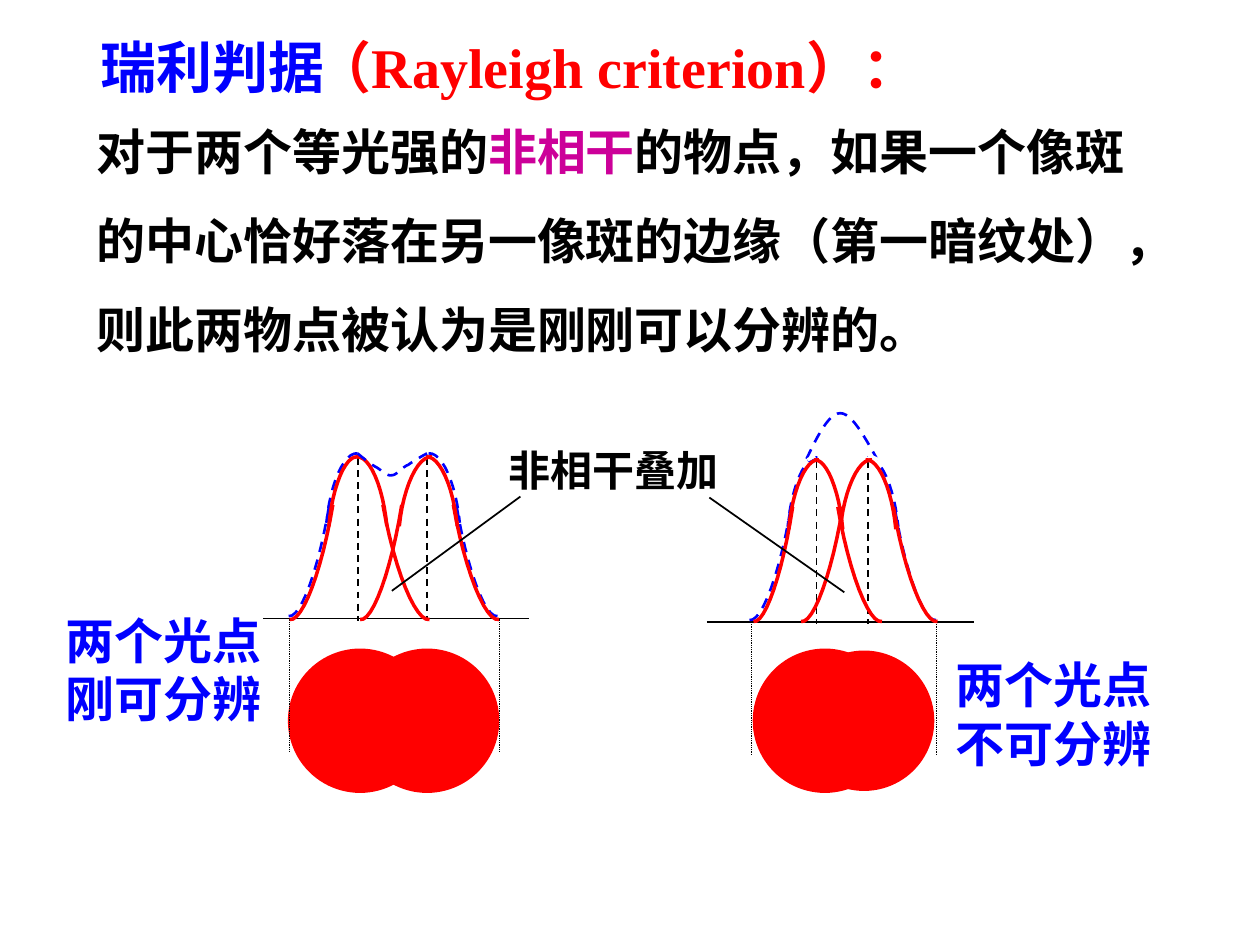
from pptx import Presentation
from pptx import util as u
from pptx.dml.color import RGBColor
from pptx.enum import dml, shapes, text
from pptx.oxml.ns import qn
from lxml import etree

RED, BLUE, BLACK, WHITE = "FF0000", "0000FF", "000000", "FFFFFF"
DASH = dml.MSO_LINE.DASH
DOT = dml.MSO_LINE.ROUND_DOT
STEPS = 12


def rgb(code):
    return RGBColor.from_string(code)


def pen(line, color, width, dash=None):
    line.color.rgb = rgb(color)
    line.width = u.Pt(width)
    if dash is not None:
        line.dash_style = dash


def write(parent, box, paras, size=28, color=BLACK, pad=(0.25, 0.13),
          align=text.PP_ALIGN.LEFT):
    """Each paragraph is a list of (words, color) runs; None means default."""
    frame = parent.add_textbox(*map(u.Cm, box)).text_frame
    frame.word_wrap = True
    frame.margin_left = frame.margin_right = u.Cm(pad[0])
    frame.margin_top = frame.margin_bottom = u.Cm(pad[1])
    for i, runs in enumerate(paras):
        para = frame.add_paragraph() if i else frame.paragraphs[0]
        para.alignment = align
        for words, tint in runs:
            run = para.add_run()
            run.text = words
            run.font.name = "Times New Roman"
            run.font.size = u.Pt(size)
            run.font.bold = True
            run.font.color.rgb = rgb(tint or color)


def rule(parent, start, end, color=BLACK, width=1, dash=None):
    line = parent.add_connector(shapes.MSO_CONNECTOR.STRAIGHT,
                                *map(u.Cm, (*start, *end)))
    pen(line.line, color, width, dash)
    etree.SubElement(line._element.spPr, qn("a:effectLst"))


def spot(parent, left, top, size):
    disc = parent.add_shape(shapes.MSO_SHAPE.OVAL,
                            *map(u.Cm, (left, top, size, size)))
    disc.shadow.inherit = False
    disc.fill.solid()
    disc.fill.fore_color.rgb = rgb(RED)
    pen(disc.line, RED, 2)


def bezier(a, b, c, d):
    for i in range(1, STEPS + 1):
        t = i / STEPS
        s = 1 - t
        yield tuple(s**3 * p + 3 * s * s * t * q + 3 * s * t * t * r + t**3 * e
                    for p, q, r, e in zip(a, b, c, d))


def curve(parent, start, *parts, color=RED, width=2, dash=None):
    """Draw an open curve from cubic parts (two controls and an end each)."""
    pts, last = [], start
    for part in parts:
        pts += bezier(last, *part)
        last = part[-1]
    pen_up = parent.build_freeform(*map(u.Cm, start), scale=1.0)
    pen_up.add_line_segments([tuple(map(u.Cm, p)) for p in pts], close=False)
    shape = pen_up.convert_to_shape()
    shape.shadow.inherit = False
    shape.fill.background()
    pen(shape.line, color, width, dash)


def flank(parent, foot, tail, peak, cap, low, high, **style):
    """One side of a bell: tail up from the foot, cap down from the peak."""
    run = tail - foot
    curve(parent, (foot, low),
          ((foot + 0.3 * run, low + 0.05), (foot + 0.75 * run, low - 1),
           (tail, low - 2.31)), **style)
    run = cap - peak
    curve(parent, (peak, high),
          ((peak + 0.43 * run, high - 0.03), (peak + 0.88 * run, high + 0.61),
           (cap, high + 1.4)), **style)


def flanks(parent, rows, low, high, **style):
    for row in rows:
        flank(parent, *row, low, high, **style)


def frame(parent, axis, base, peaks, high, edges):
    """Base line, dashed peak lines and dotted edge lines."""
    for x in edges:
        rule(parent, (x, base), (x, base + 2.67), width=0.5, dash=DOT)
    rule(parent, (axis[0], base), (axis[1], base))
    for x in peaks:
        rule(parent, (x, high), (x, base + 0.04), dash=DASH)


def near(parent):
    """Two spots that can just be told apart."""
    for left in (5.84, 7.19):
        spot(parent, left, 13.11, 2.84)
    frame(parent, (5.31, 10.67), 12.47, (7.21, 8.61), 9.23, (5.84, 10.06))
    blue = dict(color=BLUE, width=1.5, dash=DASH)
    flanks(parent, [(5.82, 6.65, 7.21, 6.58), (10.03, 9.19, 8.64, 9.27)],
           12.42, 9.14, **blue)
    flanks(parent, [(10.06, 9.14, 8.59, 9.22), (7.26, 8.1, 8.71, 8.05),
                    (8.66, 7.72, 7.19, 7.8), (5.84, 6.71, 7.21, 6.63)],
           12.49, 9.21)
    curve(parent, (7.21, 9.14),
          ((7.34, 9.25), (7.49, 9.37), (7.59, 9.42)),
          ((7.72, 9.5), (7.8, 9.6), (7.9, 9.58)),
          ((8, 9.58), (8.1, 9.42), (8.23, 9.37)),
          ((8.33, 9.3), (8.46, 9.22), (8.61, 9.14)), **blue)


def merged(parent):
    """Two spots that cannot be told apart."""
    spot(parent, 15.21, 13.11, 2.84)
    spot(parent, 16.04, 13.15, 2.76)
    frame(parent, (14.25, 19.63), 12.54, (16.46, 17.5), 9.29, (15.14, 18.87))
    blue = dict(color=BLUE, width=1.5, dash=DASH)
    flanks(parent, [(15.11, 15.95, 16.48, 15.88), (18.87, 18.03, 17.48, 18.11)],
           12.5, 9.22, **blue)
    curve(parent, (16.26, 9.25),
          ((16.48, 8.79), (16.71, 8.33), (16.94, 8.33)),
          ((17.17, 8.33), (17.42, 8.79), (17.68, 9.25)), **blue)
    # Gaps where the blue flanks meet the sum
    rule(parent, (16.28, 9.27), (16.43, 9.19), WHITE, 2)
    rule(parent, (17.48, 9.22), (17.68, 9.3), WHITE, 4.5)
    flanks(parent, [(17.78, 16.89, 16.41, 16.99), (15.19, 15.98, 16.51, 15.9),
                    (18.9, 18.01, 17.45, 18.06), (16.15, 16.99, 17.58, 16.94)],
           12.53, 9.27)


def main():
    prs = Presentation()
    prs.slide_width, prs.slide_height = u.Cm(25.4), u.Cm(19.05)
    page = prs.slides.add_slide(prs.slide_layouts[6]).shapes
    just = text.PP_ALIGN.JUSTIFY

    # Curves and spots
    near(page.add_group_shape().shapes)
    merged(page.add_group_shape().shapes)

    # Captions beside the spots
    for box, last in (((1.3, 12.27, 5.41, 2.46), "刚可分辨"),
                      ((19.23, 13.16, 4.93, 2.62), "不可分辨")):
        write(page, box, [[("两个光点", None)], [(last, None)]],
              color=BLUE, pad=(0.03, 0.03), align=just)

    # Heading
    write(page, (1.77, 0.53, 6.5, 1.63), [[("瑞利判据", None)]],
          size=32, color=BLUE, align=just)
    write(page, (6.12, 0.53, 13.84, 1.63),
          [[("（Rayleigh criterion）：", None)]], size=32, color=RED)

    # Statement, one box a line
    lines = [
        [("对于两个等光强的", None), ("非相干", "CC0099"),
         ("的物点，如果一个像斑", None)],
        [("的中心恰好落在另一像斑的边缘（第一暗纹处），", None)],
        [("则此两物点被认为是刚刚可以分辨的。", None)],
    ]
    for i, runs in enumerate(lines):
        write(page, (1.7, 2.31 + 1.8 * i, 22.63, 1.45), [runs])

    # Shared label with its pointers
    note = page.add_group_shape().shapes
    write(note, (10.01, 8.84, 4.83, 1.4), [[("非相干叠加", None)]],
          size=24, align=just)
    rule(note, (7.9, 11.91), (10.49, 10.01))
    rule(note, (17.02, 11.94), (14.3, 10.03))

    prs.save("out.pptx")


if __name__ == "__main__":
    main()
